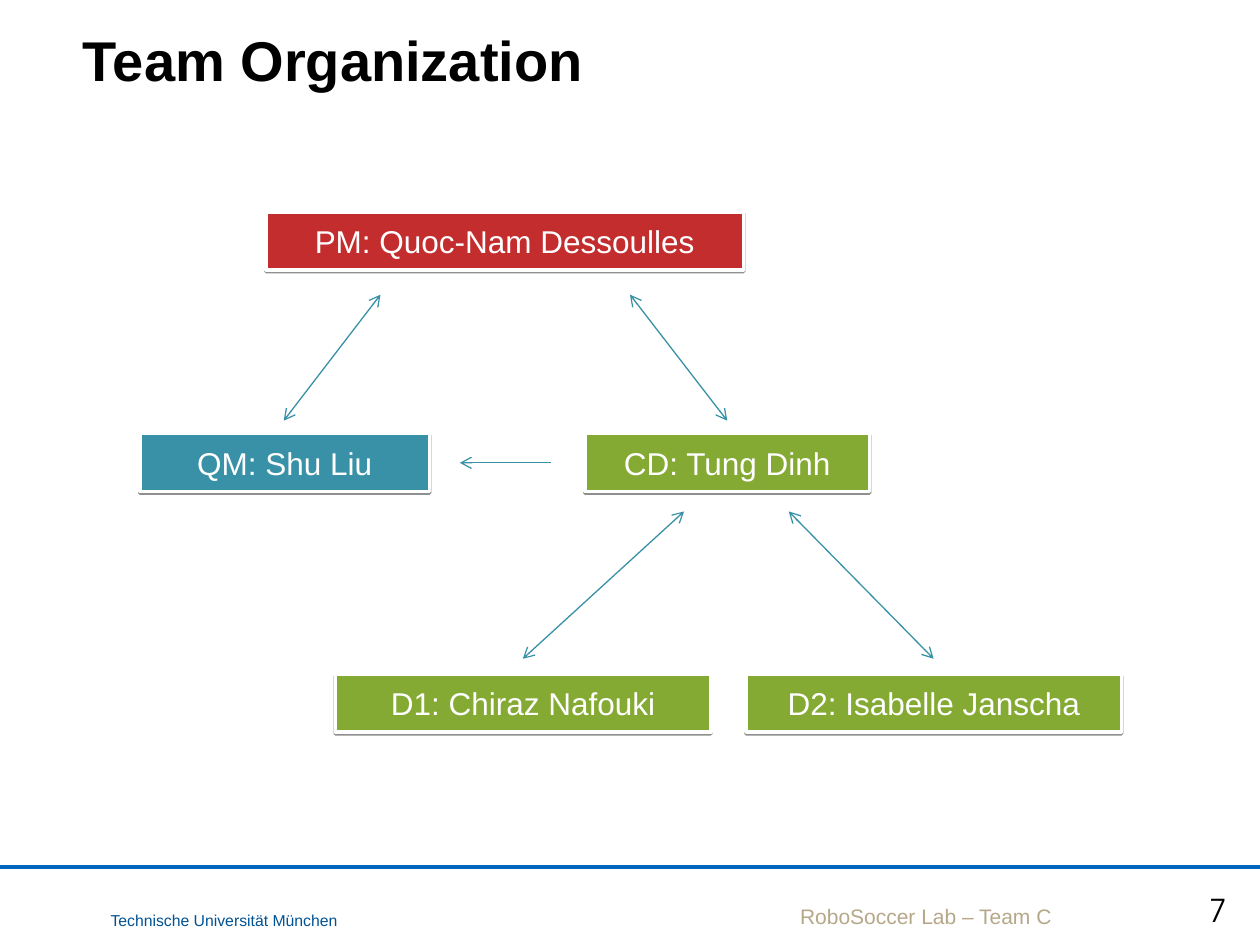
from dataclasses import dataclass

from lxml.etree import SubElement
from pptx import Presentation
from pptx.dml.color import RGBColor
from pptx.enum.shapes import MSO_CONNECTOR as Connector, MSO_SHAPE as Preset
from pptx.enum.text import MSO_ANCHOR as Anchor, PP_ALIGN as Align
from pptx.oxml.ns import qn
from pptx.shapes.autoshape import Shape
from pptx.slide import Slide
from pptx.util import Cm, Pt

COLORS = {
    "black": "000000",
    "white": "FFFFFF",
    "red": "C32D2E",
    "teal": "3891A7",
    "green": "84AA33",
    "rule": "0065BD",
    "university": "005293",
    "footer": "B5A788",
}
BOX_HEIGHT = 1.17
PM_TOP, LEADS_TOP, DEVELOPERS_TOP = 4.27, 8.74, 13.59
FOOTER_TOP, FOOTER_HEIGHT = 17.53, 1.32


@dataclass
class Role:
    text: str
    left: float
    top: float
    width: float
    color: str


@dataclass
class Link:
    start: tuple[float, float]
    end: tuple[float, float]
    two_way: bool = True


@dataclass
class Label:
    text: str
    left: float
    top: float
    width: float
    height: float
    size: int
    color: str
    font: str = "Arial"
    bold: bool = False
    anchor: Anchor = Anchor.BOTTOM
    align: Align = Align.LEFT
    wrap: bool = True


ROLES = [
    Role("PM: Quoc-Nam Dessoulles", 5.36, PM_TOP, 9.63, "red"),
    Role("QM: Shu Liu", 2.82, LEADS_TOP, 5.84, "teal"),
    Role("CD: Tung Dinh", 11.79, LEADS_TOP, 5.74, "green"),
    Role("D1: Chiraz Nafouki", 6.76, DEVELOPERS_TOP, 7.57, "green"),
    Role("D2: Isabelle Janscha", 15.04, DEVELOPERS_TOP, 7.57, "green"),
]
LINKS = [
    Link((5.72, 8.48), (7.67, 5.94)),
    Link((14.66, 8.48), (12.7, 5.94)),
    Link((9.27, 9.33), (11.1, 9.33), two_way=False),
    Link((10.54, 13.28), (13.79, 10.31)),
    Link((18.82, 13.28), (15.9, 10.31)),
]
LABELS = [
    Label("Team Organization", 1.42, 0.34, 20.22, 1.7, 32, "black",
          bold=True, anchor=Anchor.MIDDLE),
    Label("Technische Universität München", 1.98, 18.24, 5.13, 0.64, 9,
          "university", anchor=Anchor.TOP, wrap=False),
    Label("RoboSoccer Lab – Team C", 15.88, FOOTER_TOP, 8.05, FOOTER_HEIGHT,
          12, "footer"),
    Label("7", 23.93, FOOTER_TOP, 1.27, FOOTER_HEIGHT, 18, "black",
          font="TeX Gyre Adventor", align=Align.CENTER),
]


def rgb(name: str) -> RGBColor:
    return RGBColor.from_string(COLORS[name])


def set_text(shape: Shape, text: str, size: int, color: str, font: str,
             bold: bool, anchor: Anchor, align: Align) -> None:
    frame = shape.text_frame
    frame.vertical_anchor = anchor
    paragraph = frame.paragraphs[0]
    paragraph.text = text
    paragraph.alignment = align
    paragraph.font.size = Pt(size)
    paragraph.font.name = font
    paragraph.font.bold = bold
    paragraph.font.color.rgb = rgb(color)


def add_label(slide: Slide, label: Label) -> None:
    box = slide.shapes.add_textbox(Cm(label.left), Cm(label.top),
                                   Cm(label.width), Cm(label.height))
    box.text_frame.word_wrap = label.wrap
    set_text(box, label.text, label.size, label.color, label.font,
             label.bold, label.anchor, label.align)


def add_shadow(shape: Shape) -> None:
    """Give the shape a sharp, translucent shadow just below it."""
    shape.shadow.inherit = False
    effects = shape._element.spPr.find(qn("a:effectLst"))
    shadow = SubElement(effects, qn("a:outerShdw"), blurRad="0",
                        dist=str(Pt(1)), dir="5400000", rotWithShape="0")
    color = SubElement(shadow, qn("a:srgbClr"), val=COLORS["black"])
    SubElement(color, qn("a:alpha"), val="44000")


def add_role(slide: Slide, role: Role) -> None:
    box = slide.shapes.add_shape(Preset.RECTANGLE, Cm(role.left), Cm(role.top),
                                 Cm(role.width), Cm(BOX_HEIGHT))
    box.fill.solid()
    box.fill.fore_color.rgb = rgb(role.color)
    box.line.color.rgb = rgb("white")
    box.line.width = Pt(2)
    add_shadow(box)
    set_text(box, role.text, 18, "white", "Arial", False,
             Anchor.MIDDLE, Align.CENTER)


def add_line(slide: Slide, start: tuple[float, float], end: tuple[float, float],
             color: str, width: float, arrow_ends: tuple[str, ...] = ()) -> None:
    """Draw a line; arrow_ends may hold headEnd (start) and tailEnd (end)."""
    line = slide.shapes.add_connector(Connector.STRAIGHT, Cm(start[0]),
                                      Cm(start[1]), Cm(end[0]), Cm(end[1]))
    line.line.color.rgb = rgb(color)
    line.line.width = Pt(width)
    properties = line._element.spPr
    for arrow_end in arrow_ends:
        SubElement(properties.find(qn("a:ln")), qn(f"a:{arrow_end}"), type="arrow")
    SubElement(properties, qn("a:effectLst"))


def main() -> None:
    presentation = Presentation()
    presentation.slide_width = Cm(25.4)
    presentation.slide_height = Cm(19.05)
    slide = presentation.slides.add_slide(presentation.slide_layouts[6])

    add_line(slide, (0, 17.48), (25.4, 17.48), "rule", 2.25)
    for role in ROLES:
        add_role(slide, role)
    for link in LINKS:
        arrow_ends = ("headEnd", "tailEnd") if link.two_way else ("headEnd",)
        add_line(slide, link.start, link.end, "teal", 0.75, arrow_ends)
    for label in LABELS:
        add_label(slide, label)

    presentation.save("out.pptx")


if __name__ == "__main__":
    main()
